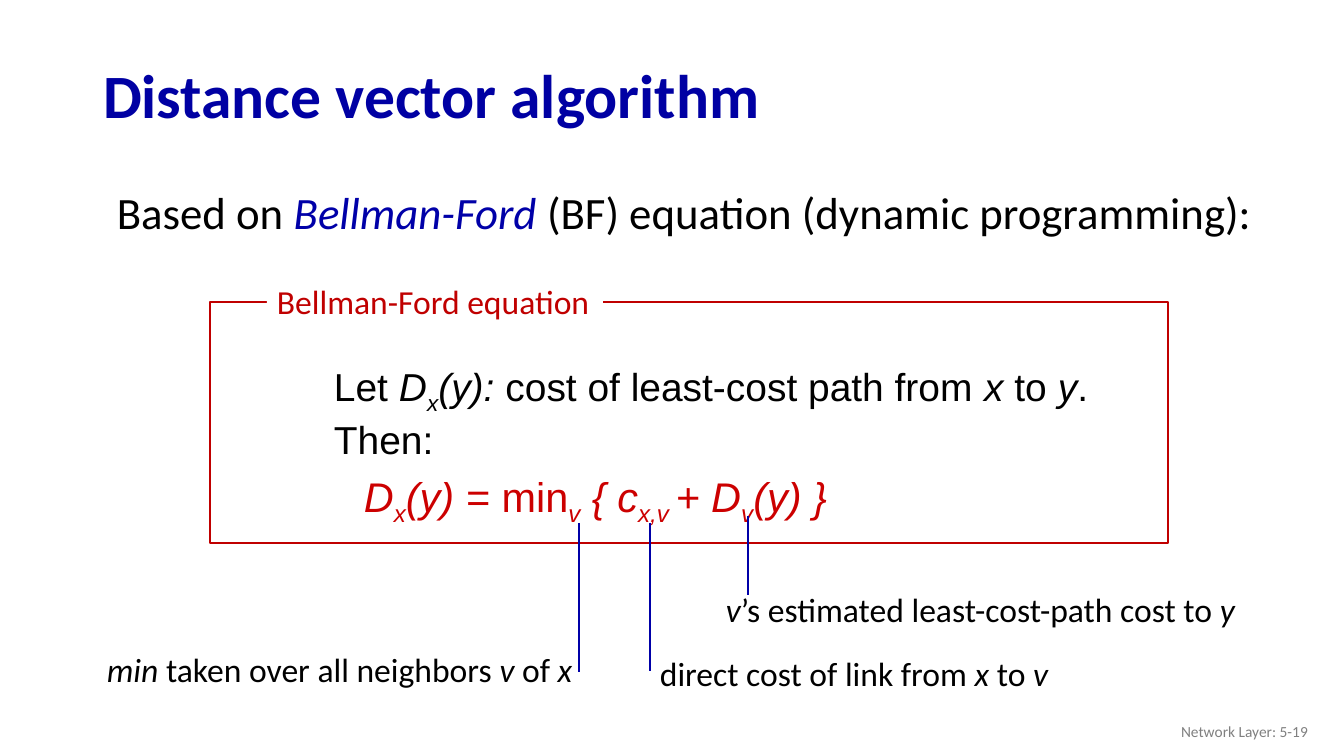
"""Build the slide on the distance vector algorithm and the Bellman-Ford equation."""
from dataclasses import dataclass

import pptx
import pptx.dml.color
import pptx.enum.shapes
import pptx.enum.text
import pptx.util
from lxml import etree


@dataclass(frozen=True)
class Theme:
    heading: str = "0000A3"
    accent: str = "0000A8"
    frame: str = "C00000"
    formula: str = "CC0000"
    text: str = "000000"
    muted: str = "808080"
    paper: str = "FFFFFF"
    sans: str = "Calibri"
    math: str = "Arial"
    title_size: float = 44
    lead_size: float = 32
    label_size: float = 24
    definition_size: float = 27.8
    formula_size: float = 29.6
    footer_size: float = 11


THEME = Theme()
EMU_PER_PX = 914400 / 100.8
SLIDE_SIZE = (1344, 756)
ITALIC, SUBSCRIPT, ACCENT = "italic", "subscript", "accent"

TITLE = ("Distance vector algorithm", (93, 49, 1159, 99))
LEAD = ([("Based on ",), ("Bellman-Ford", ITALIC, ACCENT),
         (" (BF) equation (dynamic programming):",)], (93, 190, 1192, 57))
FOOTER = ("Network Layer: 5-19", (1016, 711, 302, 40))
CAPTION = ("Bellman-Ford equation", (267, 276, 336, 50))
FRAME = (210, 302, 958, 241)
EQUATION_BOX = (309, 363, 877, 218)
DEFINITION = [
    [("Let ",), ("D", ITALIC), ("x", ITALIC, SUBSCRIPT), ("(y): ", ITALIC),
     ("cost of least-cost path from ",), ("x", ITALIC), (" to ",), ("y", ITALIC), (".",)],
    [("Then:",)],
]
FORMULA = [
    ("D", ITALIC), ("x", ITALIC, SUBSCRIPT), ("(y) = ", ITALIC), ("min",),
    ("v", ITALIC, SUBSCRIPT), (" { c", ITALIC), ("x,v ", ITALIC, SUBSCRIPT),
    ("+ D", ITALIC), ("v", ITALIC, SUBSCRIPT), ("(y) }", ITALIC),
]
DEFINITION_INDENT, FORMULA_INDENT, LEAD_INDENT = 15, 45, 14

NOTES = [
    ([("min", ITALIC), (" taken over all neighbors",), (" v ", ITALIC), ("of ",), ("x", ITALIC)],
     (97, 644, 490, 50), (579, 523, 672)),
    ([("v", ITALIC), ("’s estimated least-cost-path cost to ",), ("y", ITALIC)],
     (716, 584, 535, 50), (748, 516, 595)),
    ([("direct cost of link from",), (" x ", ITALIC), ("to ",), ("v", ITALIC)],
     (650, 648, 411, 50), (650, 523, 671)),
]


def px(length):
    return pptx.util.Emu(round(length * EMU_PER_PX))


def rgb(color):
    return pptx.dml.color.RGBColor.from_string(color)


def write(paragraph, runs, size, color, font=THEME.sans, bold=False):
    paragraph.font.name = font
    paragraph.font.size = pptx.util.Pt(size)
    paragraph.font.color.rgb = rgb(color)
    paragraph.font.bold = bold
    for text, *styles in runs:
        run = paragraph.add_run()
        run.text = text
        if ITALIC in styles:
            run.font.italic = True
        if ACCENT in styles:
            run.font.color.rgb = rgb(THEME.accent)
        if SUBSCRIPT in styles:
            run.font._element.set("baseline", "-25000")


def space(paragraph, indent):
    paragraph.line_spacing = 0.8
    paragraph.space_before = pptx.util.Pt(10)
    paragraph._p.get_or_add_pPr().set("marL", str(px(indent)))


def add_text(slide, box):
    frame = slide.shapes.add_textbox(*map(px, box)).text_frame
    frame.word_wrap = True
    return frame


def fit(frame):
    frame.word_wrap = False
    frame.auto_size = pptx.enum.text.MSO_AUTO_SIZE.SHAPE_TO_FIT_TEXT


def add_rectangle(slide, box):
    shape = slide.shapes.add_shape(pptx.enum.shapes.MSO_SHAPE.RECTANGLE, *map(px, box))
    shape.shadow.inherit = False
    return shape


def add_headings(slide):
    text, box = TITLE
    title = slide.shapes.title
    title.left, title.top, title.width, title.height = map(px, box)
    title.text_frame.vertical_anchor = pptx.enum.text.MSO_ANCHOR.MIDDLE
    paragraph = title.text_frame.paragraphs[0]
    paragraph.alignment = pptx.enum.text.PP_ALIGN.LEFT
    paragraph.line_spacing = 0.9
    write(paragraph, [(text,)], THEME.title_size, THEME.heading, bold=True)

    runs, box = LEAD
    paragraph = add_text(slide, box).paragraphs[0]
    space(paragraph, LEAD_INDENT)
    write(paragraph, runs, THEME.lead_size, THEME.text)

    text, box = FOOTER
    frame = add_text(slide, box)
    frame.vertical_anchor = pptx.enum.text.MSO_ANCHOR.MIDDLE
    frame.paragraphs[0].alignment = pptx.enum.text.PP_ALIGN.RIGHT
    write(frame.paragraphs[0], [(text,)], THEME.footer_size, THEME.muted)


def add_equation(slide):
    frame = add_text(slide, EQUATION_BOX)
    lines = [(runs, THEME.definition_size, THEME.text, DEFINITION_INDENT) for runs in DEFINITION]
    lines.append((FORMULA, THEME.formula_size, THEME.formula, FORMULA_INDENT))
    for index, (runs, size, color, indent) in enumerate(lines):
        paragraph = frame.add_paragraph() if index else frame.paragraphs[0]
        space(paragraph, indent)
        write(paragraph, runs, size, color, THEME.math)

    border = add_rectangle(slide, FRAME)
    border.fill.background()
    border.line.color.rgb = rgb(THEME.frame)
    border.line.width = pptx.util.Pt(2)

    text, box = CAPTION
    caption = add_rectangle(slide, box)
    caption.fill.solid()
    caption.fill.fore_color.rgb = rgb(THEME.paper)
    caption.line.fill.background()
    fit(caption.text_frame)
    caption.text_frame.vertical_anchor = pptx.enum.text.MSO_ANCHOR.TOP
    caption.text_frame.paragraphs[0].alignment = pptx.enum.text.PP_ALIGN.LEFT
    write(caption.text_frame.paragraphs[0], [(text,)], THEME.label_size, THEME.frame)


def add_note(slide, runs, box, pointer):
    frame = add_text(slide, box)
    fit(frame)
    write(frame.paragraphs[0], runs, THEME.label_size, THEME.text)
    x, top, bottom = pointer
    line = slide.shapes.add_connector(
        pptx.enum.shapes.MSO_CONNECTOR.STRAIGHT, px(x), px(top), px(x), px(bottom))
    line.line.color.rgb = rgb(THEME.accent)
    line.line.width = pptx.util.Pt(1)
    etree.SubElement(line._element.spPr, pptx.oxml.ns.qn("a:effectLst"))


def main():
    presentation = pptx.Presentation()
    presentation.slide_width, presentation.slide_height = map(px, SLIDE_SIZE)
    slide = presentation.slides.add_slide(presentation.slide_layouts.get_by_name("Title Only"))
    add_headings(slide)
    add_equation(slide)
    for note in NOTES:
        add_note(slide, *note)
    presentation.save("out.pptx")


if __name__ == "__main__":
    main()
